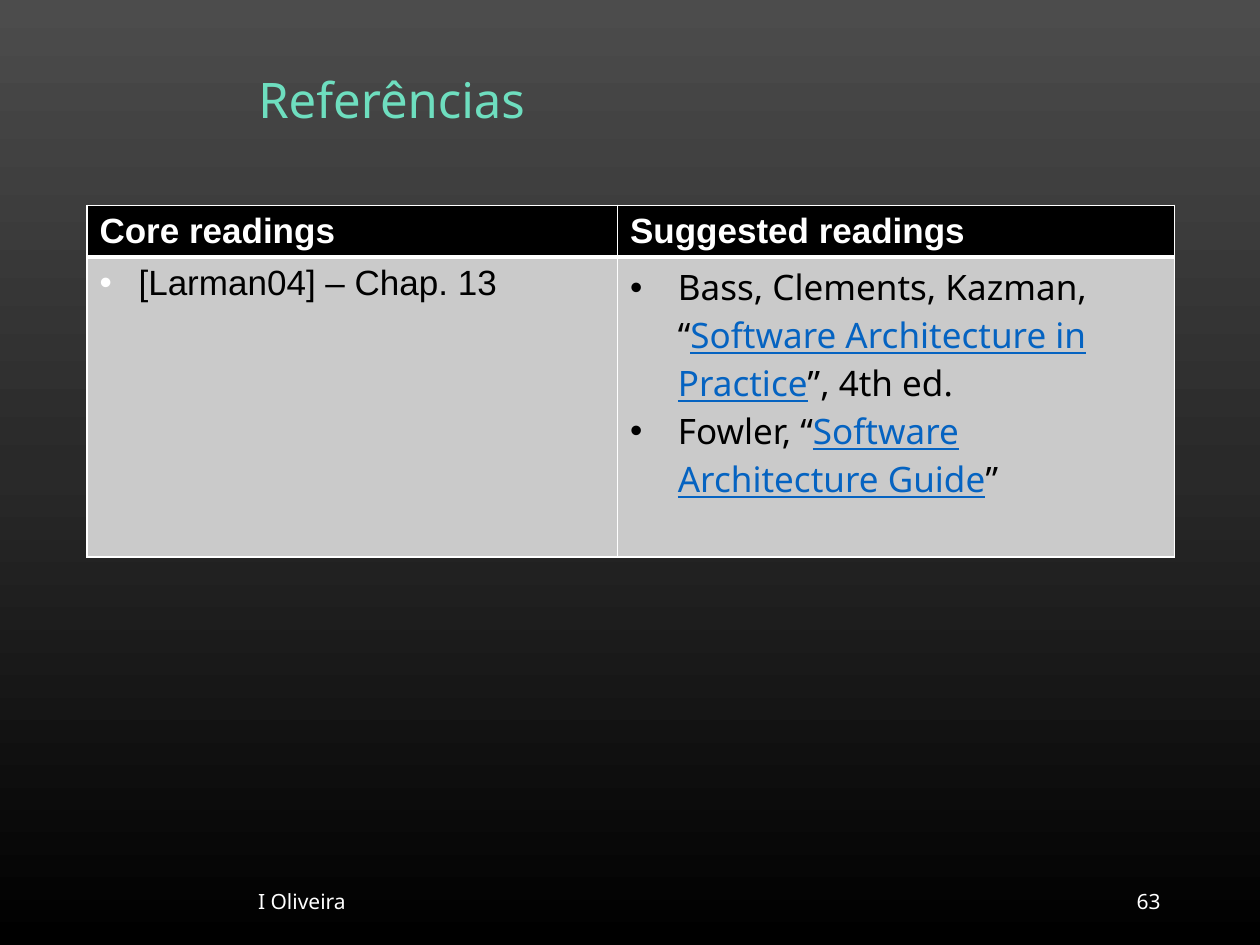
from copy import deepcopy
from dataclasses import dataclass

from lxml.etree import SubElement
from pptx import Presentation
from pptx.dml.color import RGBColor
from pptx.enum.text import MSO_ANCHOR, PP_ALIGN
from pptx.oxml.ns import qn
from pptx.util import Inches, Pt

COLORS = {
    "title": "6EDEBF", "white": "FFFFFF", "black": "000000",
    "body": "CACACA", "link": "0563C1",
}
BACKGROUND_STOPS = [(0, "4C4C4C"), (0.5, "292929"), (1, "000000")]


@dataclass
class Span:
    text: str
    linked: bool = False


@dataclass
class Column:
    heading: str
    width: float
    font: str
    indent: float
    bullet_color: str
    items: list[list[Span]]


COLUMNS = [
    Column("Core readings", 4.21, "Arial", 0.31, "white",
           [[Span("[Larman04] – Chap. 13")]]),
    Column("Suggested readings", 4.42, "Noto Sans", 0.38, "black", [
        [Span("Bass, Clements, Kazman, “"),
         Span("Software Architecture in Practice", linked=True),
         Span("”, 4th ed.")],
        [Span("Fowler, “"),
         Span("Software Architecture Guide", linked=True),
         Span("”")],
    ]),
]
HEADER_HEIGHT, BODY_HEIGHT = 0.41, 2.38


def rgb(name: str) -> RGBColor:
    return RGBColor.from_string(COLORS[name])


def style(font, name: str, size: float, color: str, bold: bool = False) -> None:
    font.name, font.size, font.bold = name, Pt(size), bold
    font.color.rgb = rgb(color)


def paint_background(page) -> None:
    fill = page.background.fill
    fill.gradient()
    fill.gradient_angle = 270
    stop_list = next(page.element.iter(qn("a:gsLst")))
    stop_list.insert(1, deepcopy(stop_list[0]))
    for stop, (position, color) in zip(fill.gradient_stops, BACKGROUND_STOPS):
        stop.position = position
        stop.color.rgb = RGBColor.from_string(color)


def add_footer(page, text: str, left: float, width: float, align) -> None:
    box = page.shapes.add_textbox(Inches(left), Inches(6.95), Inches(width), Inches(0.4))
    frame = box.text_frame
    frame.word_wrap = True
    frame.vertical_anchor = MSO_ANCHOR.MIDDLE
    frame.text = text
    para = frame.paragraphs[0]
    para.alignment = align
    style(para.runs[0].font, "Noto Sans", 12, "white")


def format_cell(cell, fill: str, top: float, bottom: float) -> None:
    """Set white borders, with widths in points, and then the fill."""
    properties = cell._tc.get_or_add_tcPr()
    for side, width in (("L", 1), ("R", 1), ("T", top), ("B", bottom)):
        line = SubElement(properties, qn(f"a:ln{side}"), w=str(Pt(width)))
        solid = SubElement(line, qn("a:solidFill"))
        SubElement(solid, qn("a:srgbClr"), val=COLORS["white"])
    cell.fill.solid()
    cell.fill.fore_color.rgb = rgb(fill)


def add_bullet(para, indent: float, color: str) -> None:
    properties = para._p.get_or_add_pPr()
    properties.set("marL", str(Inches(indent)))
    properties.set("indent", str(-Inches(indent)))
    bullet_color = SubElement(properties, qn("a:buClr"))
    SubElement(bullet_color, qn("a:srgbClr"), val=COLORS[color])
    SubElement(properties, qn("a:buFont"), typeface="Arial")
    SubElement(properties, qn("a:buChar"), char="•")


def fill_column(header, body, column: Column) -> None:
    format_cell(header, "black", 1, 3)
    header.text_frame.text = column.heading
    style(header.text_frame.paragraphs[0].runs[0].font, "Arial", 20, "white", bold=True)

    format_cell(body, "body", 3, 1)
    frame = body.text_frame
    for number, item in enumerate(column.items):
        para = frame.add_paragraph() if number else frame.paragraphs[0]
        add_bullet(para, column.indent, column.bullet_color)
        for span in item:
            run = para.add_run()
            run.text = span.text
            style(run.font, column.font, 20, "link" if span.linked else "black")
            run.font.underline = span.linked


def add_readings(page) -> None:
    total_width = sum(column.width for column in COLUMNS)
    table = page.shapes.add_table(
        2, len(COLUMNS), Inches(0.69), Inches(1.63),
        Inches(total_width), Inches(HEADER_HEIGHT + BODY_HEIGHT)).table
    table.rows[0].height = Inches(HEADER_HEIGHT)
    table.rows[1].height = Inches(BODY_HEIGHT)
    for index, column in enumerate(COLUMNS):
        table.columns[index].width = Inches(column.width)
        fill_column(table.cell(0, index), table.cell(1, index), column)


def main() -> None:
    deck = Presentation()
    deck.slide_width, deck.slide_height = Inches(10), Inches(7.5)
    page = deck.slides.add_slide(deck.slide_layouts[5])
    paint_background(page)

    # Title
    title = page.shapes.title
    title.left, title.top = Inches(1.95), Inches(0.4)
    title.width, title.height = Inches(7.36), Inches(0.83)
    title.text_frame.text = "Referências"
    title.text_frame.vertical_anchor = MSO_ANCHOR.MIDDLE
    para = title.text_frame.paragraphs[0]
    para.alignment = PP_ALIGN.LEFT
    para.line_spacing = 0.9
    style(para.runs[0].font, "Noto Sans", 28, "title")

    # Readings table and footer
    add_readings(page)
    add_footer(page, "I Oliveira", 1.95, 4.74, PP_ALIGN.LEFT)
    add_footer(page, "63", 7.06, 2.25, PP_ALIGN.RIGHT)
    deck.save("out.pptx")


if __name__ == "__main__":
    main()
